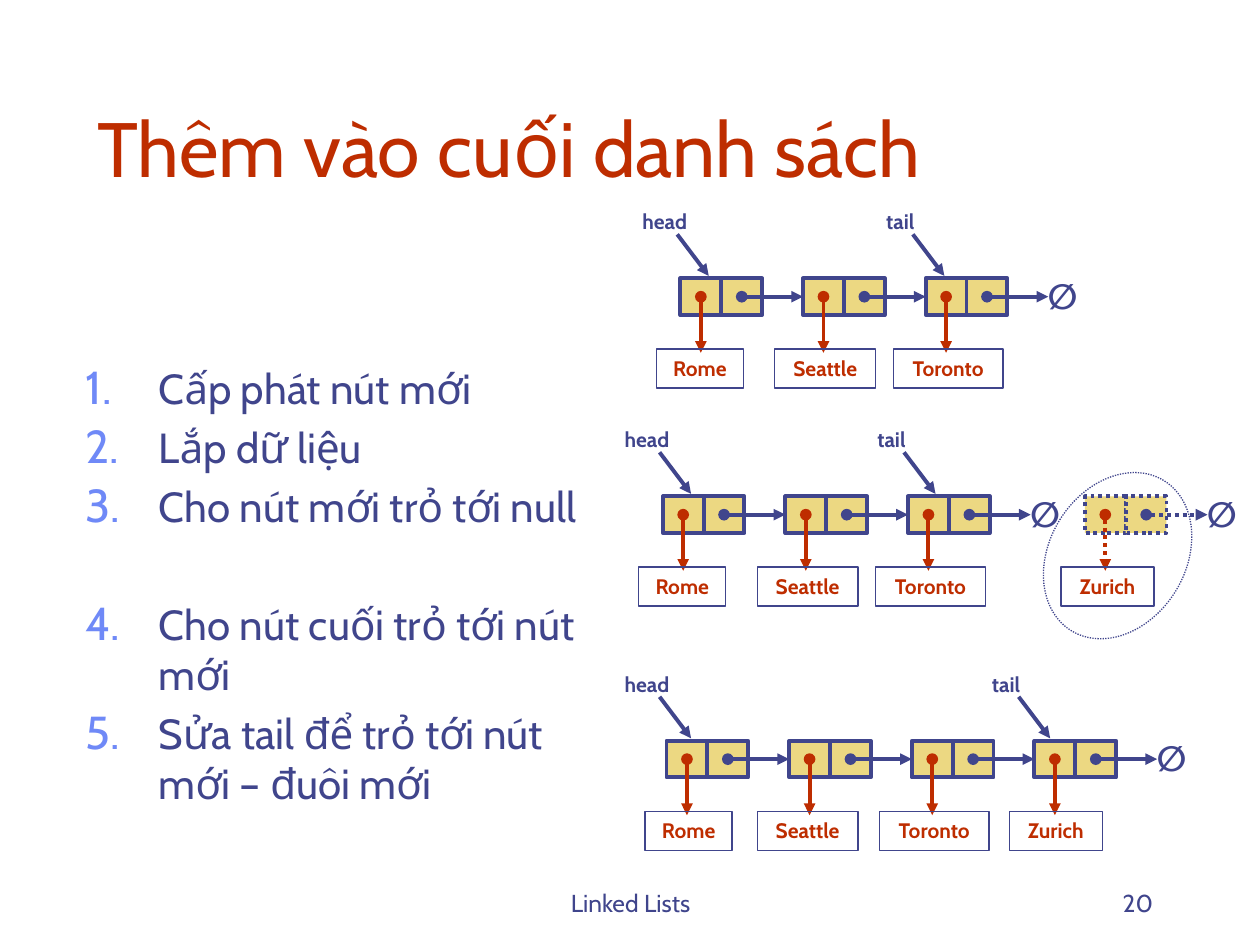
from dataclasses import dataclass

from lxml import etree
from pptx import Presentation
from pptx.dml.color import RGBColor
from pptx.enum.dml import MSO_LINE
from pptx.enum.shapes import MSO_CONNECTOR, MSO_SHAPE
from pptx.enum.text import MSO_ANCHOR, MSO_AUTO_SIZE, PP_ALIGN
from pptx.oxml.ns import qn
from pptx.util import Inches, Pt

NAVY = RGBColor(0x40, 0x45, 0x8C)
RED = RGBColor(0xBE, 0x2D, 0x00)
GOLD = RGBColor(0xEC, 0xD8, 0x82)
NUMBER_BLUE = RGBColor(0x6F, 0x89, 0xF7)
FONT = "Cabin"

LEFT, CENTER, RIGHT = PP_ALIGN.LEFT, PP_ALIGN.CENTER, PP_ALIGN.RIGHT
TOP, BOTTOM = MSO_ANCHOR.TOP, MSO_ANCHOR.BOTTOM
RECTANGLE, OVAL = MSO_SHAPE.RECTANGLE, MSO_SHAPE.OVAL
STRAIGHT = MSO_CONNECTOR.STRAIGHT
DOTTED = MSO_LINE.ROUND_DOT
LEFT_SIDE = 1

NODE_PITCH = 2.92 / 3
CELL_WIDTH = NODE_PITCH / 3
CELL_HEIGHT = 0.29
CITY_WIDTHS = {"Rome": 0.69, "Seattle": 0.8, "Toronto": 0.87, "Zurich": 0.74}
LABEL_WIDTHS = {"head": 0.61, "tail": 0.47}
STEPS = [
    "Cấp phát nút mới",
    "Lắp dữ liệu",
    "Cho nút mới trỏ tới null",
    "Cho nút cuối trỏ tới nút mới",
    "Sửa tail để trỏ tới nút mới – đuôi mới",
]
STEP_AFTER_GAP = 3


@dataclass
class City:
    name: str
    left: float


@dataclass
class Label:
    name: str
    left: float


@dataclass
class LinkedList:
    left: float
    top: float
    cities: list[City]
    labels: list[Label]
    dash: MSO_LINE | None = None


LISTS = [
    LinkedList(5.4, 2.21,
               [City("Rome", 5.21), City("Seattle", 6.15), City("Toronto", 7.09)],
               [Label("head", 4.97), Label("tail", 6.91)]),
    LinkedList(5.26, 3.94,
               [City("Rome", 5.07), City("Seattle", 6.01), City("Toronto", 6.95)],
               [Label("head", 4.83), Label("tail", 6.84)]),
    LinkedList(8.61, 3.94, [City("Zurich", 8.42)], [], DOTTED),
    LinkedList(5.29, 5.88,
               [City("Rome", 5.12), City("Seattle", 6.01),
                City("Toronto", 6.98), City("Zurich", 8.01)],
               [Label("head", 4.83), Label("tail", 7.75)]),
]


def write_text(frame, *lines: str, size: float, color: RGBColor = NAVY,
               bold: bool = False, align=CENTER, anchor=TOP, wrap: bool = True):
    frame.auto_size = MSO_AUTO_SIZE.NONE
    frame.word_wrap = wrap
    frame.vertical_anchor = anchor
    for index, line in enumerate(lines):
        paragraph = frame.add_paragraph() if index else frame.paragraphs[0]
        paragraph.alignment = align
        run = paragraph.add_run()
        run.text = line
        font = run.font
        font.name, font.size, font.bold = FONT, Pt(size), bold
        font.color.rgb = color


def place(shape, left: float, top: float, width: float, height: float):
    shape.left, shape.top = Inches(left), Inches(top)
    shape.width, shape.height = Inches(width), Inches(height)


def add_text(slide, text: str, left: float, top: float, width: float,
             height: float, **text_format):
    box = slide.shapes.add_textbox(
        Inches(left), Inches(top), Inches(width), Inches(height))
    write_text(box.text_frame, text, **text_format)


def add_outline(slide, kind, left: float, top: float, width: float,
                height: float, line_width: float = 0.75,
                fill: RGBColor | None = None, dash=None):
    shape = slide.shapes.add_shape(
        kind, Inches(left), Inches(top), Inches(width), Inches(height))
    shape.shadow.inherit = False
    if fill is None:
        shape.fill.background()
    else:
        shape.fill.solid()
        shape.fill.fore_color.rgb = fill
    shape.line.color.rgb = NAVY
    shape.line.width = Pt(line_width)
    shape.line.dash_style = dash
    return shape


def add_arrow(slide, x1: float, y1: float, x2: float, y2: float,
              color: RGBColor = NAVY, dash=None, dot: bool = True):
    arrow = slide.shapes.add_connector(
        STRAIGHT, Inches(x1), Inches(y1), Inches(x2), Inches(y2))
    arrow.line.color.rgb = color
    arrow.line.width = Pt(2.25)
    arrow.line.dash_style = dash
    properties = arrow.element.spPr
    outline = properties.find(qn("a:ln"))
    if dot:
        etree.SubElement(outline, qn("a:headEnd"), type="oval")
    etree.SubElement(outline, qn("a:tailEnd"), type="triangle")
    etree.SubElement(properties, qn("a:effectLst"))
    return arrow


def add_linked_list(slide, linked: LinkedList):
    top, dash = linked.top, linked.dash
    middle = top + CELL_HEIGHT / 2
    lefts = [linked.left + index * NODE_PITCH for index in range(len(linked.cities))]
    data_cells = []
    for left in lefts:
        data_cell, _ = [
            add_outline(slide, RECTANGLE, cell_left, top, CELL_WIDTH, CELL_HEIGHT,
                        line_width=2.25, fill=GOLD, dash=dash)
            for cell_left in (left, left + CELL_WIDTH)]
        data_cells.append(data_cell)

    for index, (left, city) in enumerate(zip(lefts, linked.cities)):
        next_arrow = add_arrow(slide, left + 1.5 * CELL_WIDTH, middle,
                               left + NODE_PITCH, middle, dash=dash)
        if index + 1 < len(data_cells):
            next_arrow.end_connect(data_cells[index + 1], LEFT_SIDE)
        data_x = left + CELL_WIDTH / 2
        add_arrow(slide, data_x, middle, data_x, top + 0.59, RED, dash)
        box = add_outline(slide, RECTANGLE, city.left, top + 0.56,
                          CITY_WIDTHS[city.name], 0.31)
        write_text(box.text_frame, city.name, size=12, color=RED, bold=True, wrap=False)

    add_text(slide, "∅", lefts[-1] + NODE_PITCH - 0.1, top - 0.08, 0.43, 0.43,
             size=20, bold=True, wrap=False)
    for label in linked.labels:
        width = LABEL_WIDTHS[label.name]
        add_text(slide, label.name, label.left, top - 0.6, width, 0.3,
                 size=12, bold=True, wrap=False)
        start = label.left + width / 2 + 0.1
        add_arrow(slide, start, top - 0.35, start + 0.25, top - 0.02, dot=False)


def number_steps(frame):
    for index, paragraph in enumerate(frame.paragraphs):
        paragraph.space_before = Pt(38.5 if index == STEP_AFTER_GAP else 4.8)
        properties = paragraph._p.get_or_add_pPr()
        properties.set("marL", str(Inches(0.58)))
        properties.set("indent", str(-Inches(0.58)))
        color = etree.SubElement(properties, qn("a:buClr"))
        etree.SubElement(color, qn("a:srgbClr"), val=str(NUMBER_BLUE))
        etree.SubElement(properties, qn("a:buSzPct"), val="110000")
        etree.SubElement(properties, qn("a:buFont"), typeface=FONT)
        etree.SubElement(properties, qn("a:buAutoNum"), type="arabicPeriod")


def main():
    presentation = Presentation()
    presentation.slide_width, presentation.slide_height = Inches(10), Inches(7.5)
    slide = presentation.slides.add_slide(presentation.slide_layouts[1])

    title, body = slide.shapes.title, slide.placeholders[1]
    place(title, 0.67, 0.33, 8.5, 1.25)
    write_text(title.text_frame, "Thêm vào cuối danh sách", size=44, color=RED,
               align=LEFT, anchor=BOTTOM)
    place(body, 0.58, 2.83, 4.33, 4.08)
    write_text(body.text_frame, *STEPS, size=24, align=LEFT)
    number_steps(body.text_frame)

    for linked in LISTS:
        add_linked_list(slide, linked)
    new_node_ring = add_outline(slide, OVAL, 8.33, 3.71, 1.08, 1.4, dash=DOTTED)
    new_node_ring.rotation = 31.8

    add_text(slide, "Linked Lists", 3.42, 6.83, 3.17, 0.5, size=14, anchor=BOTTOM)
    add_text(slide, "20", 7.17, 6.83, 2.08, 0.5, size=14, align=RIGHT, anchor=BOTTOM)
    presentation.save("out.pptx")


if __name__ == "__main__":
    main()
